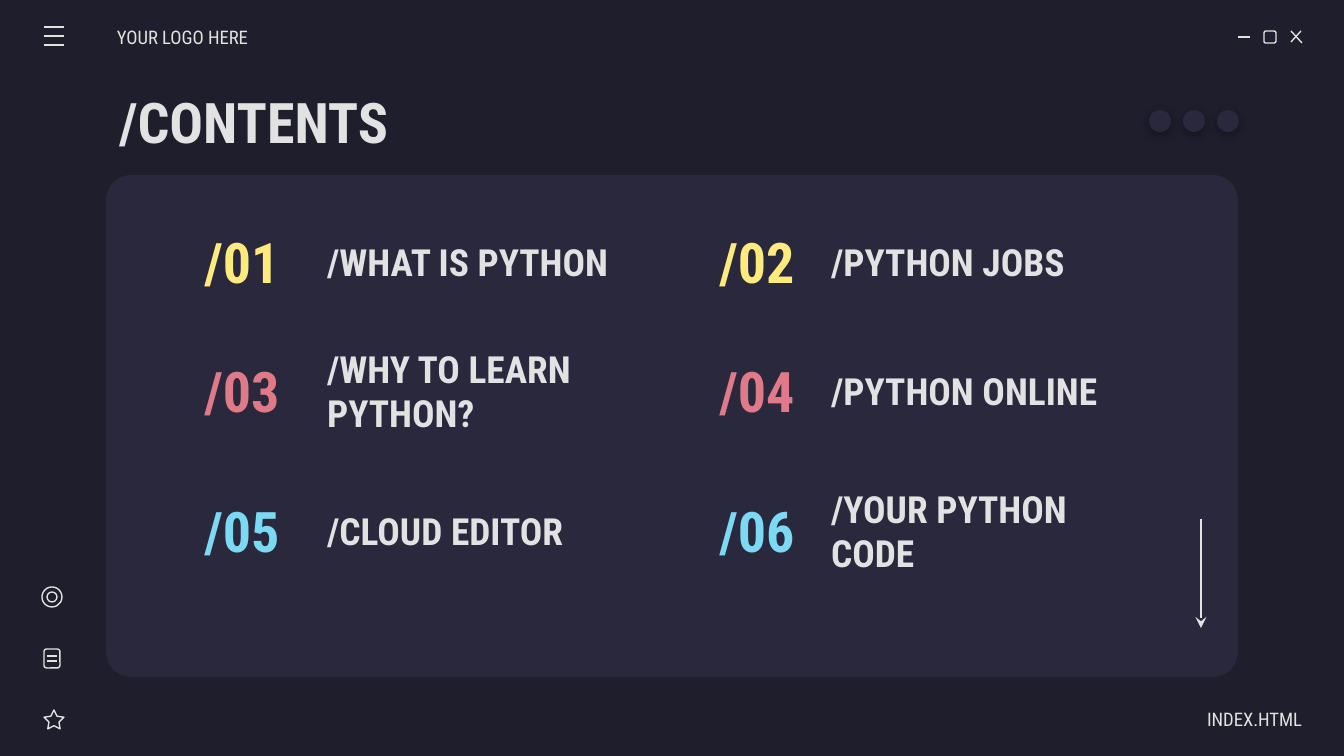
from lxml import etree
from pptx import Presentation
from pptx.dml.color import RGBColor
from pptx.enum.shapes import MSO_CONNECTOR, MSO_SHAPE
from pptx.enum.text import MSO_ANCHOR, MSO_AUTO_SIZE, PP_ALIGN
from pptx.oxml import parse_xml
from pptx.oxml.ns import nsdecls, qn
from pptx.util import Pt

LEFT, CENTER, RIGHT = PP_ALIGN.LEFT, PP_ALIGN.CENTER, PP_ALIGN.RIGHT
MIDDLE, NO_FIT = MSO_ANCHOR.MIDDLE, MSO_AUTO_SIZE.NONE
ROUND, OVAL, STAR = MSO_SHAPE.ROUNDED_RECTANGLE, MSO_SHAPE.OVAL, MSO_SHAPE.STAR_5_POINT
STRAIGHT = MSO_CONNECTOR.STRAIGHT
PX = 914400 / 134.4
FONT = "Roboto Condensed"
COLORS = {"bg": "1E1E2C", "panel": "29283D", "light": "E2E2E2",
          "yellow": "FFEA7D", "pink": "E07A88", "blue": "7CD9F3"}
COLORS = {name: RGBColor.from_string(value) for name, value in COLORS.items()}

prs = Presentation()
prs.slide_width, prs.slide_height = round(1344 * PX), round(756 * PX)
s = prs.slides.add_slide(prs.slide_layouts[5])
s.background.fill.solid()
s.background.fill.fore_color.rgb = COLORS["bg"]


def emu(*lengths):
    return [round(n * PX) for n in lengths]


def add_text(text, box, size, color="light", bold=True, align=LEFT, left=13, right=13, sp=None):
    if sp is None:
        sp = s.shapes.add_textbox(*emu(*box))
    sp.left, sp.top, sp.width, sp.height = emu(*box)
    tf = sp.text_frame
    tf.word_wrap, tf.auto_size, tf.vertical_anchor = True, NO_FIT, MIDDLE
    tf.margin_left, tf.margin_right, tf.margin_top, tf.margin_bottom = emu(left, right, 13, 13)
    p = tf.paragraphs[0]
    p.alignment = align
    r = p.add_run()
    r.text = text
    r.font.name, r.font.size, r.font.bold = FONT, Pt(size), bold
    r.font.color.rgb = COLORS[color]


panel = s.shapes.add_shape(ROUND, *emu(106, 175, 1132, 502))
panel.adjustments[0] = 0.05
dots = [s.shapes.add_shape(OVAL, *emu(1149 + 34 * i, 110, 22, 22)) for i in range(3)]
for sp in [panel, *dots]:
    sp.shadow.inherit = False
    sp.fill.solid()
    sp.fill.fore_color.rgb = COLORS["panel"]
    sp.line.fill.background()
for dot in dots:
    effects = dot._element.spPr.find(qn("a:effectLst"))
    effects.append(parse_xml(
        f'<a:outerShdw {nsdecls("a")} blurRad="57150" dist="19050" dir="5400000" algn="bl" '
        'rotWithShape="0"><a:srgbClr val="000000"><a:alpha val="30000"/></a:srgbClr></a:outerShdw>'))

icons = [
    (ROUND, 1264, 31, 12, 12),
    (OVAL, 42, 587, 20, 20),
    (OVAL, 47, 592, 10, 10),
    (ROUND, 44, 649, 16, 19),
    (STAR, 44, 710, 20, 19),
]
for kind, *box in icons:
    sp = s.shapes.add_shape(kind, *emu(*box))
    sp.shadow.inherit = False
    sp.fill.background()
    sp.line.color.rgb = COLORS["light"]
    sp.line.width = Pt(0.75)
    if kind == STAR:
        sp.adjustments[0] = 0.25

menu = [(44, y, 64, y) for y in (27, 36, 45)]
page = [(47, y, 57, y) for y in (656, 661)]
window = [(1238, 37, 1250, 37), (1291, 31, 1302, 43), (1301, 31, 1291, 42)]
scroll = (1201, 519, 1201, 628)
for ends in [*menu, *page, *window, scroll]:
    line = s.shapes.add_connector(STRAIGHT, *emu(*ends))
    line.line.color.rgb = COLORS["light"]
    line.line.width = Pt(0.75)
    if ends == scroll:
        etree.SubElement(line.line._get_or_add_ln(), qn("a:tailEnd"), type="stealth")
    etree.SubElement(line._element.spPr, qn("a:effectLst"))

add_text("/CONTENTS", (106, 79, 1132, 85), 30, sp=s.shapes.title)
add_text("YOUR LOGO HERE", (117, 17, 157, 40), 10, bold=False, left=0)
add_text("INDEX.HTML", (1145, 699, 157, 40), 10, bold=False, align=RIGHT, right=0)

columns = [(181, 314), (696, 818)]
rows = [
    (224, "yellow", ["/WHAT IS PYTHON", "/PYTHON JOBS"]),
    (353, "pink", ["/WHY TO LEARN PYTHON?", "/PYTHON ONLINE"]),
    (493, "blue", ["/CLOUD EDITOR", "/YOUR PYTHON CODE"]),
]
for row, (y, color, topics) in enumerate(rows):
    for col, (number_x, topic_x) in enumerate(columns):
        add_text(f"/{2 * row + col + 1:02}", (number_x, y, 122, 75), 30, color, align=CENTER)
        add_text(topics[col], (topic_x, y, 344, 75), 20)

prs.save("out.pptx")
